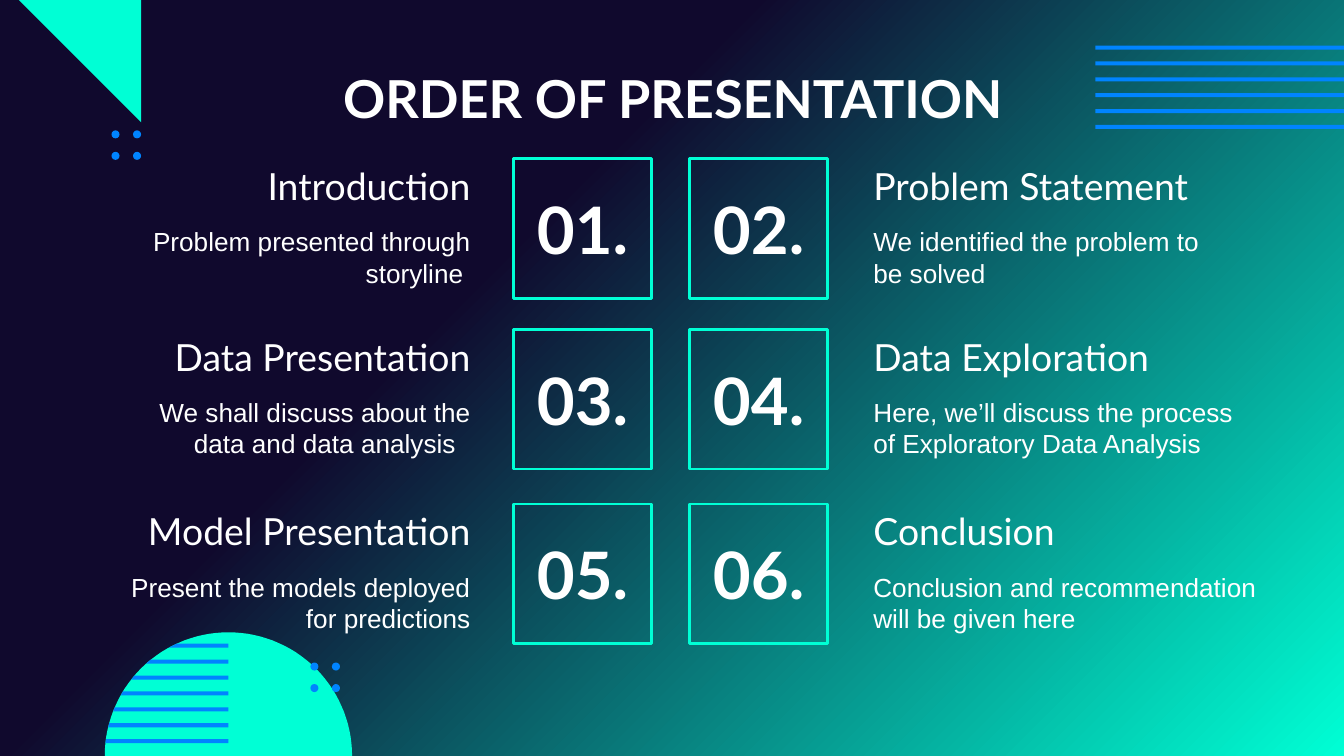
import math

import pptx
import pptx.dml.color
import pptx.enum.shapes
import pptx.enum.text
import pptx.util

RGBColor = pptx.dml.color.RGBColor
Inches = pptx.util.Inches
ALIGN = pptx.enum.text.PP_ALIGN
ANCHOR = pptx.enum.text.MSO_ANCHOR
SHAPE = pptx.enum.shapes.MSO_SHAPE

NAVY = RGBColor(0x10, 0x09, 0x2D)
MINT = RGBColor(0x00, 0xFF, 0xD5)
BLUE = RGBColor(0x00, 0x84, 0xFF)
WHITE = RGBColor(0xFF, 0xFF, 0xFF)

WIDTH = 10
HEIGHT = WIDTH * 9 / 16
ROW_TOPS = (1.18, 2.45, 3.75)
BOX_LEFTS = (3.82, 5.13)
BOX_WIDTH, BOX_HEIGHT = 1.03, 1.04
TEXT_LEFTS = (0.78, 6.4)
TEXT_ALIGNS = (ALIGN.RIGHT, ALIGN.LEFT)
TEXT_WIDTH, HEADING_HEIGHT, BODY_HEIGHT = 2.82, 0.4, 0.63
STRIPE = 0.03
DOME_X, DOME_RADIUS = 1.7, 0.92
UNITS_PER_INCH = 1000

# Heading, description and width of the description, row by row
TOPICS = [
    ("Introduction", "Problem presented through storyline ", TEXT_WIDTH),
    ("Problem Statement", "We identified the problem to be solved", TEXT_WIDTH),
    ("Data Presentation", "We shall discuss about the data and data analysis  ", TEXT_WIDTH),
    ("Data Exploration", "Here, we’ll discuss the process of Exploratory Data Analysis", 3.01),
    ("Model Presentation", "Present the models deployed for predictions", TEXT_WIDTH),
    ("Conclusion", "Conclusion and recommendation will be given here", 3.33),
]


def spread(first, last, count):
    """Evenly spaced values from first to last."""
    return [first + (last - first) * i / (count - 1) for i in range(count)]


def paint_background(slide):
    fill = slide.background.fill
    fill.gradient()
    fill.gradient_angle = 315
    for stop, position, color in zip(fill.gradient_stops, (0.36, 1), (NAVY, MINT)):
        stop.position = position
        stop.color.rgb = color


def fill_plain(shape, color):
    shape.shadow.inherit = False
    shape.fill.solid()
    shape.fill.fore_color.rgb = color
    shape.line.fill.background()


def add_solid(slide, kind, left, top, width, height, color):
    shape = slide.shapes.add_shape(
        kind, Inches(left), Inches(top), Inches(width), Inches(height))
    fill_plain(shape, color)


def add_polygon(slide, points, color):
    """Closed outline through points given in inches."""
    units = [(round(x * UNITS_PER_INCH), round(y * UNITS_PER_INCH)) for x, y in points]
    builder = slide.shapes.build_freeform(*units[0], scale=Inches(1) / UNITS_PER_INCH)
    builder.add_line_segments(units[1:], close=True)
    fill_plain(builder.convert_to_shape(), color)


def add_dots(slide, left, top):
    """Two by two square of small dots."""
    for column in range(2):
        for row in range(2):
            add_solid(slide, SHAPE.OVAL, left + 0.16 * column, top + 0.16 * row,
                      0.06, 0.06, BLUE)


def dome_edge(y):
    """Left edge of the dome at height y."""
    return DOME_X - math.sqrt(max(DOME_RADIUS ** 2 - (HEIGHT - y) ** 2, 0))


def add_dome(slide):
    arc = [(DOME_X - DOME_RADIUS * math.cos(math.radians(angle)),
            HEIGHT - DOME_RADIUS * math.sin(math.radians(angle)))
           for angle in range(0, 181, 3)]
    add_polygon(slide, arc, MINT)
    for top in spread(4.79, 5.5, 7):
        bottom = top + STRIPE
        add_polygon(slide, [(dome_edge(top), top), (DOME_X, top),
                            (DOME_X, bottom), (dome_edge(bottom), bottom)], BLUE)


def add_decoration(slide):
    for top in spread(0.34, 0.93, 6):
        add_solid(slide, SHAPE.RECTANGLE, 8.15, top, 2.56, STRIPE, BLUE)
    add_dome(slide)
    add_polygon(slide, [(0.14, 0), (1.05, 0.91), (1.05, 0)], MINT)
    add_dots(slide, 0.83, 0.97)
    add_dots(slide, 2.31, 4.93)


def write_text(shape, text, size, font, align, anchor=ANCHOR.MIDDLE, bold=False):
    frame = shape.text_frame
    frame.word_wrap = True
    frame.auto_size = pptx.enum.text.MSO_AUTO_SIZE.NONE
    frame.vertical_anchor = anchor
    frame.margin_left = frame.margin_right = Inches(0.1)
    frame.margin_top = frame.margin_bottom = Inches(0.1)
    paragraph = frame.paragraphs[0]
    paragraph.alignment = align
    run = paragraph.add_run()
    run.text = text
    run.font.size = pptx.util.Pt(size)
    run.font.name = font
    run.font.bold = bold
    run.font.color.rgb = WHITE


def add_title(slide, text):
    title = slide.shapes.title
    title.left, title.top = Inches(0.79), Inches(0.41)
    title.width, title.height = Inches(8.43), Inches(0.63)
    write_text(title, text, 28, "Lato", ALIGN.CENTER, bold=True)


def add_number_box(slide, left, top, number):
    box = slide.shapes.add_shape(SHAPE.RECTANGLE, Inches(left), Inches(top),
                                 Inches(BOX_WIDTH), Inches(BOX_HEIGHT))
    box.shadow.inherit = False
    box.fill.background()
    box.line.color.rgb = MINT
    box.line.width = pptx.util.Pt(1.5)
    write_text(box, f"{number:02}.", 35, "Lato", ALIGN.CENTER, bold=True)


def add_label(slide, left, top, width, height, *text_format):
    label = slide.shapes.add_textbox(
        Inches(left), Inches(top), Inches(width), Inches(height))
    write_text(label, *text_format)


def add_topic(slide, index, heading, body, body_width):
    row, column = divmod(index, 2)
    top, left, align = ROW_TOPS[row], TEXT_LEFTS[column], TEXT_ALIGNS[column]
    add_number_box(slide, BOX_LEFTS[column], top, index + 1)
    add_label(slide, left, top, TEXT_WIDTH, HEADING_HEIGHT,
              heading, 20, "Lato", align)
    add_label(slide, left, top + HEADING_HEIGHT, body_width, BODY_HEIGHT,
              body, 14, "Arial", align, ANCHOR.TOP)


def main():
    presentation = pptx.Presentation()
    presentation.slide_width = Inches(WIDTH)
    presentation.slide_height = Inches(HEIGHT)
    slide = presentation.slides.add_slide(presentation.slide_layouts[5])
    paint_background(slide)
    add_decoration(slide)
    add_title(slide, "ORDER OF PRESENTATION")
    for index, topic in enumerate(TOPICS):
        add_topic(slide, index, *topic)
    presentation.save("out.pptx")


if __name__ == "__main__":
    main()
